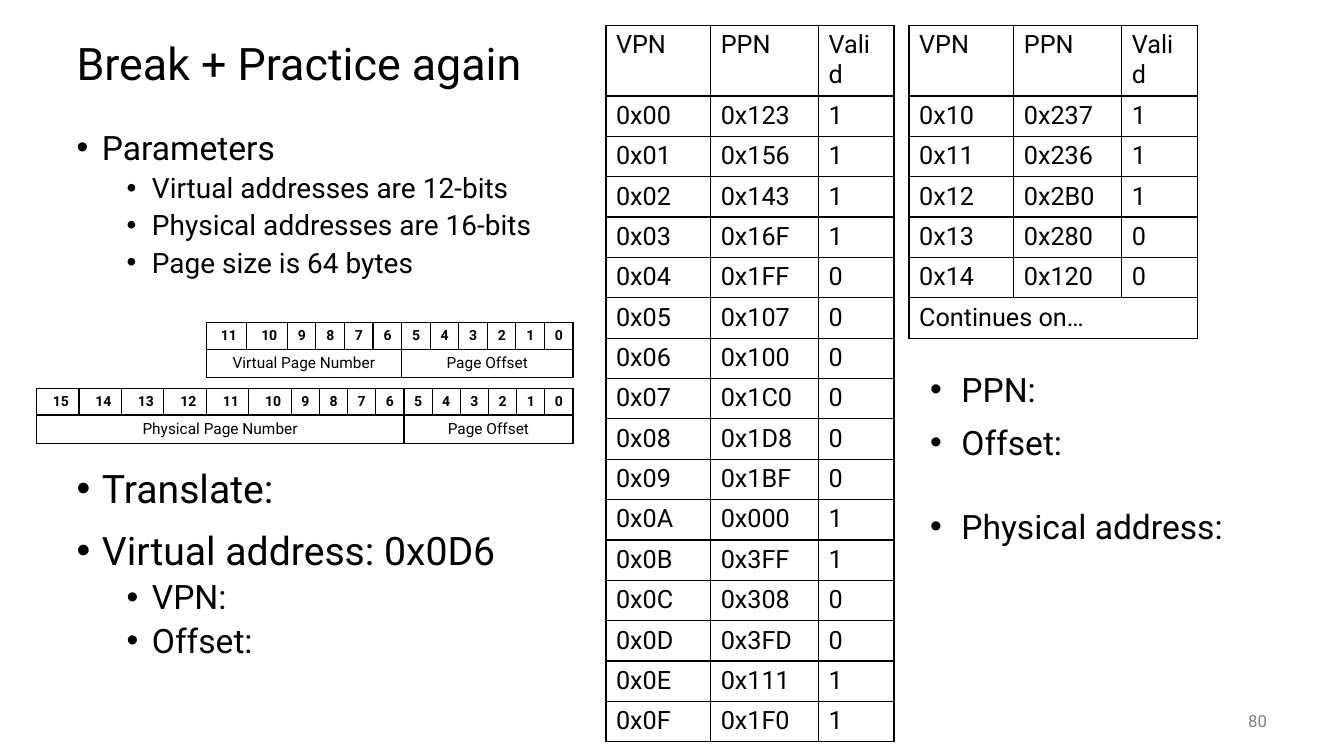
from lxml import etree
from pptx import Presentation
from pptx.dml import color
from pptx.enum import text
from pptx.oxml import ns
from pptx.util import Cm, Pt

BLACK = color.RGBColor(0x00, 0x00, 0x00)
GRAY = color.RGBColor(0x80, 0x80, 0x80)
FONT = "Roboto"
ALIGN = text.PP_ALIGN

FIRST_PAGES = """0x123 1, 0x156 1, 0x143 1, 0x16F 1, 0x1FF 0, 0x107 0, 0x100 0, 0x1C0 0,
0x1D8 0, 0x1BF 0, 0x000 1, 0x3FF 1, 0x308 0, 0x3FD 0, 0x111 1, 0x1F0 1"""
NEXT_PAGES = "0x237 1, 0x236 1, 0x2B0 1, 0x280 0, 0x120 0"


def style(para, size, ink=BLACK, bold=False, align=ALIGN.LEFT):
    para.alignment = align
    para.font.name = FONT
    para.font.size = Pt(size)
    para.font.bold = bold
    para.font.color.rgb = ink


def add_box(page, left, top, width, height, anchor=text.MSO_ANCHOR.TOP):
    box = page.shapes.add_textbox(Cm(left), Cm(top), Cm(width), Cm(height))
    box.text_frame.word_wrap = True
    box.text_frame.vertical_anchor = anchor
    return box.text_frame


def add_line(page, place, words, size, ink=BLACK, align=ALIGN.LEFT):
    para = add_box(page, *place, anchor=text.MSO_ANCHOR.MIDDLE).paragraphs[0]
    para.text = words
    style(para, size, ink, align=align)


def add_bullets(page, place, items, hang, line_spacing):
    frame = add_box(page, *place)
    for index, (words, size, indent, space) in enumerate(items):
        para = frame.add_paragraph() if index else frame.paragraphs[0]
        para.text = words
        properties = para._p.get_or_add_pPr()
        properties.set("marL", str(Cm(indent)))
        properties.set("indent", str(-Cm(hang)))
        etree.SubElement(properties, ns.qn("a:buFont"), typeface="Arial")
        etree.SubElement(properties, ns.qn("a:buChar"), char="•")
        para.line_spacing = line_spacing
        para.space_before = Pt(space)
        style(para, size)


def add_borders(cell):
    properties = cell._tc.get_or_add_tcPr()
    for side in ("a:lnL", "a:lnR", "a:lnT", "a:lnB"):
        line = etree.SubElement(properties, ns.qn(side), w=str(Pt(1)))
        fill = etree.SubElement(line, ns.qn("a:solidFill"))
        etree.SubElement(fill, ns.qn("a:srgbClr"), val=str(BLACK))


def add_grid(page, left, top, widths, heights):
    frame = page.shapes.add_table(len(heights), len(widths), Cm(left), Cm(top),
                                  Cm(sum(widths)), Cm(sum(heights)))
    table = frame.table
    table.first_row = table.horz_banding = False
    for column, width in zip(table.columns, widths):
        column.width = Cm(width)
    for row, height in zip(table.rows, heights):
        row.height = Cm(height)
    for cell in table.iter_cells():
        add_borders(cell)
        cell.fill.background()
    return table


def write_cell(cell, words, size, bold=False, align=ALIGN.LEFT):
    cell.text = words
    style(cell.text_frame.paragraphs[0], size, bold=bold, align=align)


def add_address_bits(page, left, top, widths, page_label, offset_bits=6):
    count = len(widths)
    split = count - offset_bits
    table = add_grid(page, left, top, widths, [0.66, 0.72])
    for column in range(count):
        cell = table.cell(0, column)
        cell.margin_left = 0
        write_cell(cell, str(count - 1 - column), 10, True, ALIGN.RIGHT)
    for start, end, label in ((0, split, page_label), (split, count, "Page Offset")):
        table.cell(1, start).merge(table.cell(1, end - 1))
        write_cell(table.cell(1, start), label, 11, align=ALIGN.CENTER)


def add_page_table(page, left, first_page, entries, closing=None):
    rows = [("VPN", "PPN", "Valid")]
    for number, entry in enumerate(entries.split(","), first_page):
        rows.append((f"0x{number:02X}", *entry.split()))
    if closing:
        rows.append((closing,))
    heights = [1.74] + [1] * (len(rows) - 1)
    table = add_grid(page, left, 0.64, [2.64, 2.72, 1.9], heights)
    for row, values in enumerate(rows):
        for column, value in enumerate(values):
            write_cell(table.cell(row, column), value, 18)
    if closing:
        last = len(rows) - 1
        table.cell(last, 0).merge(table.cell(last, 2))


def main():
    deck = Presentation()
    deck.slide_width, deck.slide_height = Cm(33.87), Cm(19.05)
    page = deck.slides.add_slide(deck.slide_layouts[6])

    add_line(page, (1.68, 0.64, 13.3, 1.9), "Break + Practice again", 32)
    add_bullets(page, (1.68, 3.18, 13.3, 13.97), [
        ("Parameters", 24, 0.64, 0),
        ("Virtual addresses are 12-bits", 20, 1.9, 5),
        ("Physical addresses are 16-bits", 20, 1.9, 5),
        ("Page size is 64 bytes", 20, 1.9, 5),
        ("Translate:", 28, 0.64, 136),
        ("Virtual address: 0x0D6", 28, 0.64, 14),
        ("VPN:", 24, 1.9, 5),
        ("Offset:", 24, 1.9, 5),
    ], 0.64, 0.9)
    add_line(page, (29.64, 17.65, 2.54, 1.02), "80", 12, GRAY, ALIGN.RIGHT)

    add_address_bits(page, 5.2, 8.12, [1.02] * 2 + [0.72] * 10, "Virtual Page Number")
    add_address_bits(page, 0.92, 9.78, [1.07] * 6 + [0.71] * 10, "Physical Page Number")

    add_page_table(page, 15.27, 0x00, FIRST_PAGES)
    add_page_table(page, 22.91, 0x10, NEXT_PAGES, "Continues on…")

    add_bullets(page, (23.19, 9.17, 9.68, 4.7), [
        ("PPN:", 24, 0.79, 0),
        ("Offset:", 24, 0.79, 9),
        ("Physical address:", 24, 0.79, 31),
    ], 0.79, 1.0)

    deck.save("out.pptx")


if __name__ == "__main__":
    main()
